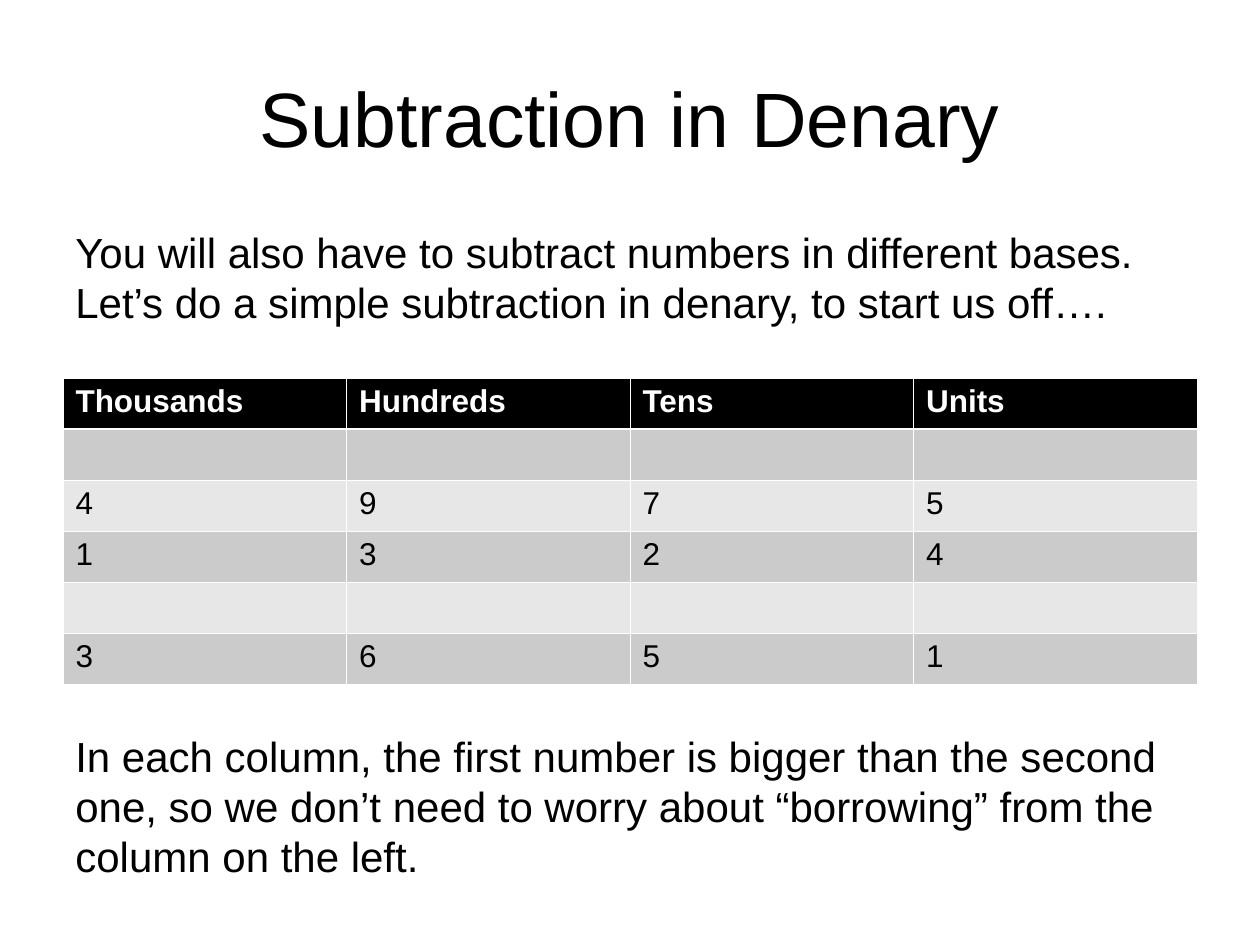
from dataclasses import dataclass

from lxml import etree
from pptx import Presentation
from pptx.dml.color import RGBColor
from pptx.enum.text import MSO_ANCHOR, PP_ALIGN
from pptx.oxml.ns import qn
from pptx.util import Pt

EMU_PER_PX = 914400 / 126
LEFT, WIDTH = 63, 1134
TABLE_TOP, ROW_HEIGHT = 378, 51
THIN, THICK = 0.45, 1.47
CENTER, ALIGN_LEFT = PP_ALIGN.CENTER, PP_ALIGN.LEFT
MIDDLE, TOP = MSO_ANCHOR.MIDDLE, MSO_ANCHOR.TOP

COLORS = {
    "text": "000000",
    "header": "000000",
    "header_text": "FFFFFF",
    "band_dark": "CBCBCB",
    "band_light": "E7E7E7",
    "border": "FFFFFF",
}


@dataclass
class TextBlock:
    text: str
    top: int
    height: int
    size: int = 24
    align: PP_ALIGN = ALIGN_LEFT
    anchor: MSO_ANCHOR = TOP


BLOCKS = [
    TextBlock("Subtraction in Denary", 38, 158, 44, CENTER, MIDDLE),
    TextBlock("You will also have to subtract numbers in different bases. "
              "Let’s do a simple subtraction in denary, to start us off….", 220, 113),
    TextBlock("In each column, the first number is bigger than the second one, "
              "so we don’t need to worry about “borrowing” from the column on the left.",
              724, 164),
]

ROWS = [
    ("Thousands", "Hundreds", "Tens", "Units"),
    ("", "", "", ""),
    ("4", "9", "7", "5"),
    ("1", "3", "2", "4"),
    ("", "", "", ""),
    ("3", "6", "5", "1"),
]


def px(n: int) -> int:
    return round(n * EMU_PER_PX)


def format_font(font, size: int, color: str, bold: bool = False) -> None:
    for name, value in {"name": "Arial", "size": Pt(size), "bold": bold}.items():
        setattr(font, name, value)
    font.color.rgb = RGBColor.from_string(COLORS[color])


def add_text(slide, block: TextBlock) -> None:
    sp = slide.shapes.add_textbox(px(LEFT), px(block.top), px(WIDTH), px(block.height))
    tf = sp.text_frame
    tf.word_wrap = True
    tf.vertical_anchor = block.anchor
    p = tf.paragraphs[0]
    p.alignment = block.align
    r = p.add_run()
    r.text = block.text
    format_font(r.font, block.size, "text")


def add_borders(cell, widths: dict[str, float]) -> None:
    tc_pr = cell._tc.get_or_add_tcPr()
    for side, width in widths.items():
        ln = etree.SubElement(tc_pr, qn(f"a:ln{side}"), w=str(Pt(width)))
        fill = etree.SubElement(ln, qn("a:solidFill"))
        etree.SubElement(fill, qn("a:srgbClr"), val=COLORS["border"])


def add_place_value_table(slide) -> None:
    table = slide.shapes.add_table(len(ROWS), len(ROWS[0]), px(LEFT), px(TABLE_TOP),
                                   px(WIDTH), px(ROW_HEIGHT * len(ROWS))).table
    table.horz_banding = False
    for i, row in enumerate(ROWS):
        header = i == 0
        band = "header" if header else "band_dark" if i % 2 else "band_light"
        # The line under the header is thicker than the rest
        borders = {"L": THIN, "R": THIN, "T": THICK if i == 1 else THIN,
                   "B": THICK if header else THIN}
        for j, text in enumerate(row):
            cell = table.cell(i, j)
            add_borders(cell, borders)
            cell.fill.solid()
            cell.fill.fore_color.rgb = RGBColor.from_string(COLORS[band])
            if text:
                r = cell.text_frame.paragraphs[0].add_run()
                r.text = text
                format_font(r.font, 18, "header_text" if header else "text", header)


def main() -> None:
    prs = Presentation()
    prs.slide_width, prs.slide_height = px(1260), px(945)
    slide = prs.slides.add_slide(prs.slide_layouts[6])

    # Title and explanations
    for block in BLOCKS:
        add_text(slide, block)

    # Worked subtraction
    add_place_value_table(slide)

    prs.save("out.pptx")


if __name__ == "__main__":
    main()
